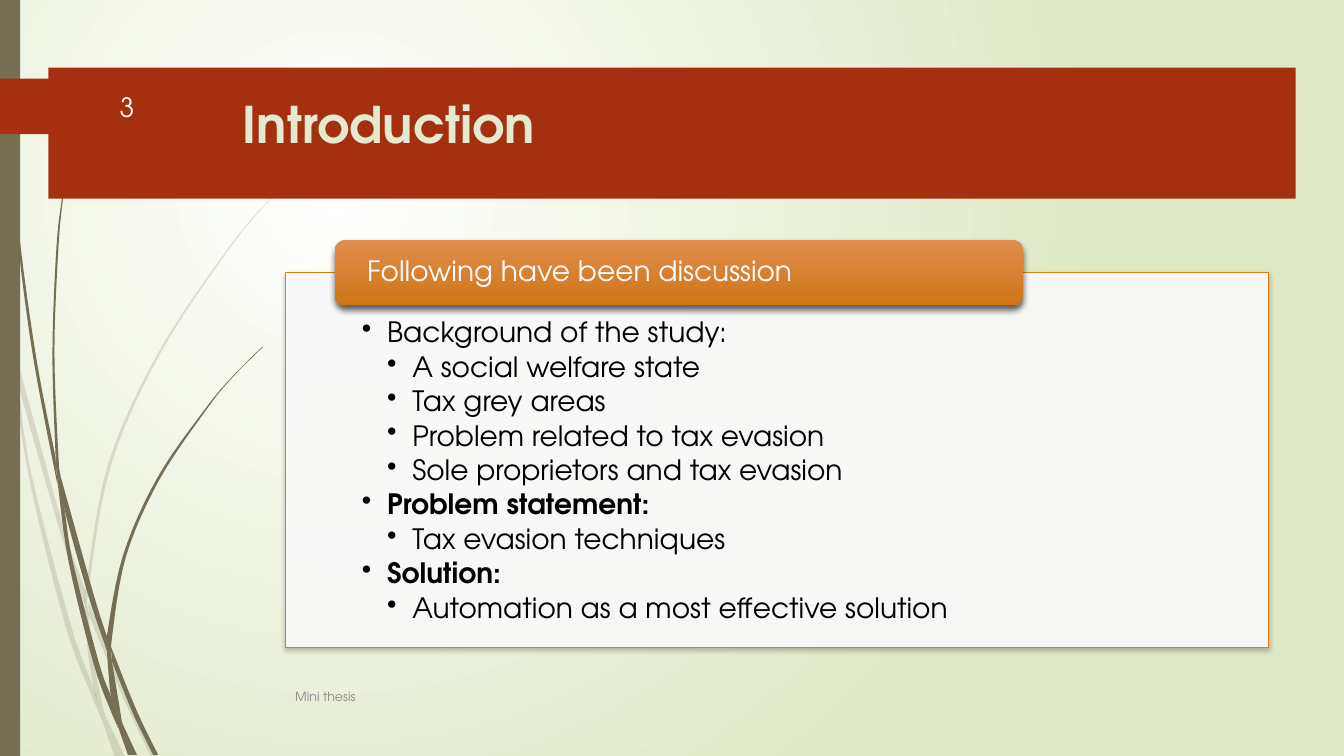
from dataclasses import dataclass

from lxml.etree import SubElement
from pptx import Presentation
from pptx.dml.color import RGBColor
from pptx.enum.shapes import MSO_SHAPE as Preset
from pptx.enum.text import MSO_ANCHOR as Anchor, PP_ALIGN as Align
from pptx.oxml.ns import qn
from pptx.util import Pt


@dataclass(frozen=True)
class Theme:
    font: str = "TeX Gyre Adventor"
    olive: str = "766F54"
    red: str = "A53010"
    orange: str = "DE7E18"
    header_top: str = "E18D4C"
    header_bottom: str = "CF7516"
    background_edge: str = "DFE8C4"
    title_text: str = "E3EACF"
    footer_text: str = "8C8C8C"
    number_text: str = "FEFFFF"
    white: str = "FFFFFF"
    black: str = "000000"
    title_size: int = 36
    body_size: int = 20
    number_size: int = 19
    footer_size: int = 9


theme = Theme()
PX = 9144  # 100 px to the inch
CURVE_STEPS = 6

# Each blade piece runs down one edge and back along the other.
FAINT_BLADES = [
    ([(0, 282), (9, 322), (11, 350)], [(10, 344), (0, 299)]),
    ([(11, 350), (17, 376), (31, 469), (70, 619), (93, 683), (99, 707), (101, 714)],
     [(92, 693), (65, 621), (28, 470), (11, 350)]),
    ([(14, 345), (17, 376), (58, 522), (84, 599)], [(85, 586), (62, 520), (14, 345)]),
    ([(88, 596), (92, 607), (127, 692), (155, 751)], [(150, 751), (123, 694), (88, 610)]),
    ([(84, 599), (87, 646), (93, 683), (96, 692), (105, 711)],
     [(103, 706), (91, 646), (88, 610), (84, 599)]),
    ([(93, 683), (99, 707), (101, 714), (114, 751)],
     [(124, 751), (105, 711), (96, 692), (93, 683)]),
    ([(88, 610), (88, 584), (110, 462), (160, 349), (229, 245), (268, 198), (290, 175), (312, 154)],
     [(312, 153), (289, 175), (268, 197), (228, 244), (158, 348), (107, 461), (85, 584), (84, 599)]),
]
DARK_BLADES = [
    ([(3, 0), (4, 48), (7, 110), (17, 233), (33, 355), (57, 481)],
     [(55, 453), (36, 355), (19, 232), (8, 109), (5, 48), (4, 0)]),
    ([(60, 472), (64, 505), (88, 592), (106, 645)], [(106, 631), (93, 590), (60, 472)]),
    ([(110, 641), (113, 649), (136, 706), (157, 749)], [(152, 749), (132, 708), (111, 656)]),
    ([(57, 477), (64, 505), (72, 556), (98, 657), (110, 691), (116, 717), (117, 722)],
     [(111, 708), (93, 659), (68, 557), (57, 477)]),
    ([(64, 505), (60, 472), (58, 453), (54, 349), (58, 245), (63, 193), (70, 141)],
     [(70, 141), (62, 193), (56, 245), (52, 349), (55, 449), (57, 477)]),
    ([(110, 691), (116, 717), (127, 749)], [(136, 749), (122, 719), (116, 706), (110, 691)]),
    ([(111, 656), (111, 633), (125, 552), (158, 476), (205, 406), (231, 374), (261, 344)],
     [(260, 344), (231, 373), (204, 405), (156, 474), (122, 551), (106, 631), (106, 645)]),
    ([(106, 645), (110, 691), (116, 706), (122, 719)],
     [(121, 716), (111, 656), (109, 651), (106, 645)]),
]
BODY_LINES = [
    (1, "Background of the study:", False),
    (2, "A social welfare state", False),
    (2, "Tax grey areas", False),
    (2, "Problem related to tax evasion", False),
    (2, "Sole proprietors and tax evasion", False),
    (1, "Problem statement:", True),
    (2, "Tax evasion techniques", False),
    (1, "Solution:", True),
    (2, "Automation as a most effective solution", False),
]


def smooth(points):
    """Return points along a Catmull-Rom curve through the given ones."""
    padded = [points[0], *points, points[-1]]
    curve = [points[0]]
    for before, start, end, after in zip(padded, padded[1:], padded[2:], padded[3:]):
        for step in range(1, CURVE_STEPS + 1):
            t = step / CURVE_STEPS
            curve.append(tuple(
                (2 * b + (c - a) * t + (2 * a - 5 * b + 4 * c - d) * t ** 2
                 + (3 * b - a - 3 * c + d) * t ** 3) / 2
                for a, b, c, d in zip(before, start, end, after)))
    return curve


def style(paragraph, size, color, bold=False):
    for run in paragraph.runs:
        run.font.name = theme.font
        run.font.size = Pt(size)
        run.font.bold = bold
        run.font.color.rgb = RGBColor.from_string(color)


presentation = Presentation()
presentation.slide_width = 1333 * PX
presentation.slide_height = 750 * PX
slide = presentation.slides.add_slide(presentation.slide_layouts[6])
shapes = slide.shapes

# Background: a glow centred in the upper left
background = slide.background.fill
background.gradient()
for stop, color in zip(background.gradient_stops, (theme.white, theme.background_edge)):
    stop.color.rgb = RGBColor.from_string(color)
gradient = slide._element.find(".//" + qn("a:gradFill"))
gradient.remove(gradient.find(qn("a:lin")))
glow = SubElement(gradient, qn("a:path"), path="circle")
SubElement(glow, qn("a:fillToRect"), l="50000", t="50000", r="100000", b="100000")

# Grass blades
for blades, opacity in ((FAINT_BLADES, 20), (DARK_BLADES, 100)):
    for edge_out, edge_back in blades:
        outline = [(x * PX, y * PX) for x, y in smooth(edge_out) + smooth(edge_back)]
        builder = shapes.build_freeform(*outline[0], scale=1.0)
        builder.add_line_segments(outline[1:], close=True)
        blade = builder.convert_to_shape()
        blade.shadow.inherit = False
        blade.fill.solid()
        blade.fill.fore_color.rgb = RGBColor.from_string(theme.olive)
        blade.line.fill.background()
        if opacity < 100:
            blade_color = blade._element.spPr.find(".//" + qn("a:srgbClr"))
            SubElement(blade_color, qn("a:alpha"), val=str(opacity * 1000))

# Side strip, number tab and title band
for left, top, width, height, color in (
        (0, 0, 20, 750, theme.olive),
        (0, 78, 148, 55, theme.red),
        (48, 67, 1237, 130, theme.red)):
    band = shapes.add_shape(Preset.RECTANGLE, left * PX, top * PX, width * PX, height * PX)
    band.shadow.inherit = False
    band.fill.solid()
    band.fill.fore_color.rgb = RGBColor.from_string(color)
    band.line.fill.background()

# Panel with its header
panel = shapes.add_shape(Preset.RECTANGLE, 283 * PX, 270 * PX, 975 * PX, 372 * PX)
panel.fill.solid()
panel.fill.fore_color.rgb = RGBColor.from_string(theme.white)
panel_color = panel._element.spPr.find(".//" + qn("a:srgbClr"))
SubElement(panel_color, qn("a:alpha"), val="90000")
panel.line.color.rgb = RGBColor.from_string(theme.orange)
panel.line.width = Pt(0.75)

header = shapes.add_shape(Preset.ROUNDED_RECTANGLE, 332 * PX, 238 * PX, 683 * PX, 65 * PX)
header.fill.gradient()
header.fill.gradient_angle = 270
for stop, color in zip(header.fill.gradient_stops, (theme.header_top, theme.header_bottom)):
    stop.color.rgb = RGBColor.from_string(color)
header.line.fill.background()

for shape, opacity, blur, distance in ((panel, 25, 3, 2), (header, 60, 4, 3)):
    shape.shadow.inherit = False
    effects = shape._element.spPr.find(qn("a:effectLst"))
    shadow = SubElement(effects, qn("a:outerShdw"), blurRad=str(Pt(blur)),
                        dist=str(Pt(distance)), dir="5400000", rotWithShape="0")
    shadow_color = SubElement(shadow, qn("a:srgbClr"), val=theme.black)
    SubElement(shadow_color, qn("a:alpha"), val=str(opacity * 1000))

for shape, side, top, bottom, anchor in (
        (panel, 76, 46, 16, Anchor.TOP), (header, 29, 3, 3, Anchor.MIDDLE)):
    frame = shape.text_frame
    frame.word_wrap = True
    frame.vertical_anchor = anchor
    frame.margin_left = frame.margin_right = side * PX
    frame.margin_top = top * PX
    frame.margin_bottom = bottom * PX

body = panel.text_frame
body.text = "\n".join(text for _, text, _ in BODY_LINES)
for paragraph, (level, _, bold) in zip(body.paragraphs, BODY_LINES):
    paragraph.alignment = Align.LEFT
    paragraph.line_spacing = 0.9
    paragraph.space_after = Pt(3)
    properties = paragraph._p.get_or_add_pPr()
    properties.set("marL", str(level * 25 * PX))
    properties.set("indent", str(-25 * PX))
    SubElement(properties, qn("a:buChar"), char="•")
    style(paragraph, theme.body_size, theme.black, bold)

header.text_frame.text = "Following have been discussion"
heading = header.text_frame.paragraphs[0]
heading.alignment = Align.LEFT
heading.line_spacing = 0.9
style(heading, theme.body_size, theme.white)

# Title, footer and slide number
for text, left, top, width, height, size, color, bold, anchor, align in (
        ("Introduction", 231, 87, 1027, 87, theme.title_size, theme.title_text,
         True, Anchor.TOP, Align.LEFT),
        ("Mini thesis", 283, 671, 833, 40, theme.footer_size, theme.footer_text,
         False, Anchor.MIDDLE, Align.LEFT),
        ("3", 58, 86, 85, 40, theme.number_size, theme.number_text,
         False, Anchor.MIDDLE, Align.RIGHT)):
    frame = shapes.add_textbox(left * PX, top * PX, width * PX, height * PX).text_frame
    frame.word_wrap = True
    frame.vertical_anchor = anchor
    frame.text = text
    frame.paragraphs[0].alignment = align
    style(frame.paragraphs[0], size, color, bold)

presentation.save("out.pptx")
